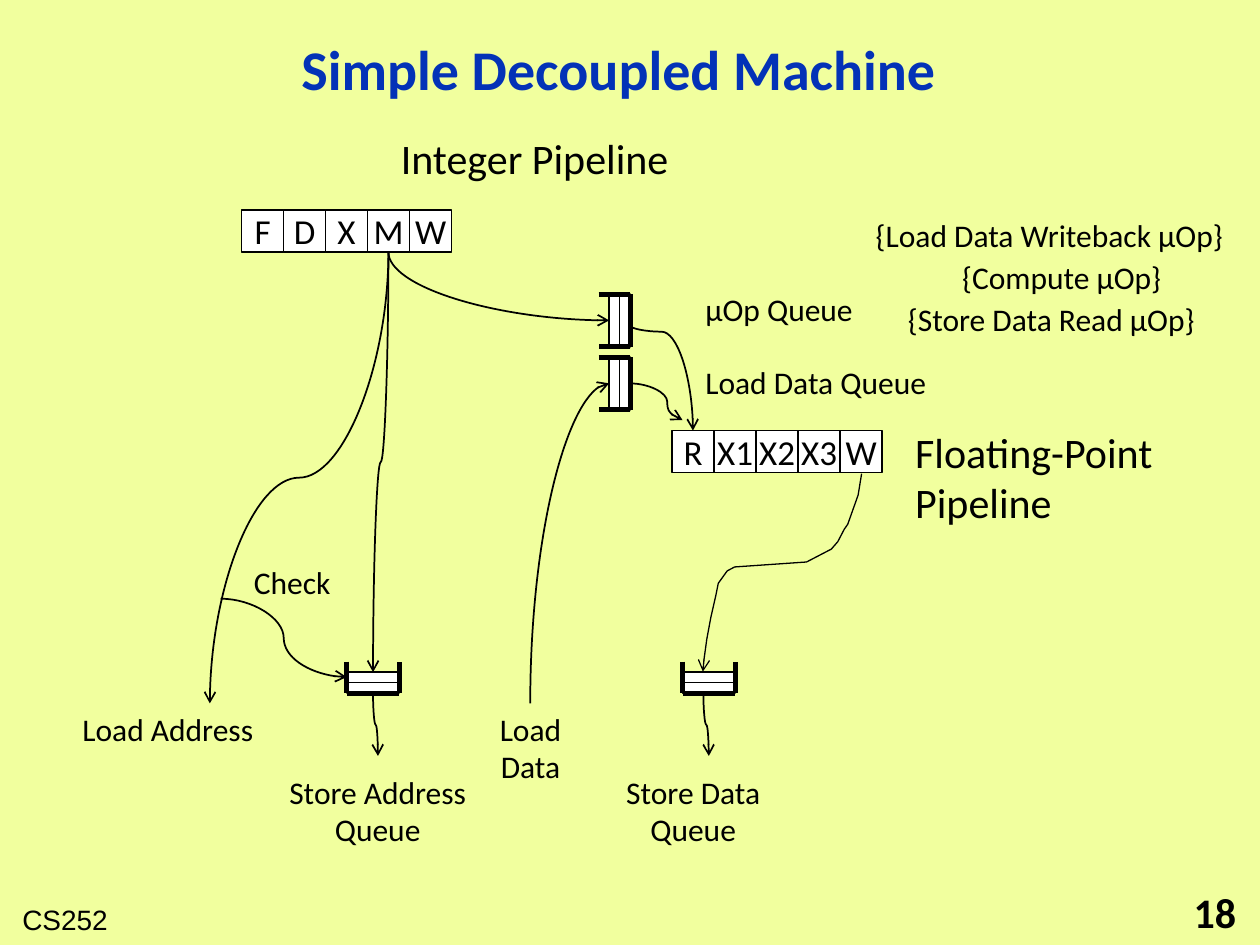
import pptx
import pptx.dml.color
import pptx.enum.shapes
import pptx.enum.text
import pptx.oxml.ns
import pptx.util
from lxml import etree

Cm = pptx.util.Cm
Pt = pptx.util.Pt
qn = pptx.oxml.ns.qn
RGBColor = pptx.dml.color.RGBColor
ALIGN = pptx.enum.text.PP_ALIGN
ANCHOR = pptx.enum.text.MSO_ANCHOR
AUTO_SIZE = pptx.enum.text.MSO_AUTO_SIZE
CONNECTOR = pptx.enum.shapes.MSO_CONNECTOR
RECTANGLE = pptx.enum.shapes.MSO_SHAPE.RECTANGLE

BACKGROUND = RGBColor(0xF1, 0xFF, 0x9E)
TITLE_BLUE = RGBColor(0x03, 0x32, 0xB7)
BLACK = RGBColor(0, 0, 0)
WHITE = RGBColor(0xFF, 0xFF, 0xFF)

STAGE = 2.54 / 3
QUEUE_LENGTH, QUEUE_DEPTH, SLOT = 1.06, 0.64, 0.21


class Diagram:
    def __init__(self, slide, font="Calibri"):
        self.slide = slide
        self.shapes = slide.shapes
        self.font = font
        fill = slide.background.fill
        fill.solid()
        fill.fore_color.rgb = BACKGROUND

    def set_text(self, shape, text, size, align=ALIGN.LEFT, color=BLACK, bold=False, font=None):
        shape.text_frame.text = text
        paragraph = shape.text_frame.paragraphs[0]
        paragraph.alignment = align
        for run in paragraph.runs:
            run.font.name = font or self.font
            run.font.size = Pt(size)
            run.font.bold = bold
            run.font.color.rgb = color
        return paragraph

    def title(self, text, left, top, width, height):
        shape = self.shapes.title
        shape.left, shape.top, shape.width, shape.height = map(Cm, (left, top, width, height))
        shape.text_frame.vertical_anchor = ANCHOR.MIDDLE
        shape.text_frame.auto_size = AUTO_SIZE.NONE
        self.set_text(shape, text, 32, ALIGN.CENTER, TITLE_BLUE, True).line_spacing = 0.9

    def label(self, text, left, top, width, height=1.02, size=18, wrap=True, **style):
        shape = self.shapes.add_textbox(Cm(left), Cm(top), Cm(width), Cm(height))
        shape.text_frame.word_wrap = wrap
        shape.text_frame.auto_size = AUTO_SIZE.SHAPE_TO_FIT_TEXT
        self.set_text(shape, text, size, **style)
        return shape

    def box(self, shapes, left, top, width, height):
        shape = shapes.add_shape(RECTANGLE, Cm(left), Cm(top), Cm(width), Cm(height))
        shape.shadow.inherit = False
        shape.fill.solid()
        shape.fill.fore_color.rgb = WHITE
        shape.line.color.rgb = BLACK
        shape.line.width = Pt(1)
        return shape

    def pipeline(self, stages, left, top):
        for index, stage in enumerate(stages):
            shape = self.box(self.shapes, left + index * STAGE, top, STAGE, STAGE)
            frame = shape.text_frame
            frame.margin_left = frame.margin_right = frame.margin_top = frame.margin_bottom = 0
            frame.vertical_anchor = ANCHOR.MIDDLE
            frame.word_wrap = True
            self.set_text(shape, stage, 20, ALIGN.CENTER)

    def style_connector(self, connector, width):
        connector.line.color.rgb = BLACK
        connector.line.width = Pt(width)
        etree.SubElement(connector._element.spPr, qn("a:effectLst"))

    def add_arrowhead(self, shape):
        line = shape._element.spPr.find(qn("a:ln"))
        etree.SubElement(line, qn("a:tailEnd"), type="arrow")

    def queue(self, left, top, opens_up=False):
        """Two slots inside three walls; the open side is left or, if opens_up, on top."""
        def turn(depth, length):
            return (length, depth) if opens_up else (depth, length)

        shapes = self.shapes.add_group_shape().shapes
        for number in (1, 2):
            x, y = turn(number * SLOT, 0)
            self.box(shapes, left + x, top + y, *turn(SLOT, QUEUE_LENGTH))
        corners = [(0, 0), (QUEUE_DEPTH, 0), (QUEUE_DEPTH, QUEUE_LENGTH), (0, QUEUE_LENGTH)]
        for start, end in zip(corners, corners[1:]):
            (x1, y1), (x2, y2) = turn(*start), turn(*end)
            wall = shapes.add_connector(CONNECTOR.STRAIGHT, Cm(left + x1), Cm(top + y1),
                                        Cm(left + x2), Cm(top + y2))
            self.style_connector(wall, 3)

    def curve(self, start, end, vertical=True, bend=0.5, quarter=False):
        """Curved arrow leaving start vertically or horizontally; quarter gives a single bend."""
        (x1, y1), (x2, y2) = start, end
        connector = self.shapes.add_connector(CONNECTOR.CURVE, Cm(x1), Cm(y1), Cm(x2), Cm(y2))
        properties = connector._element.spPr
        if vertical:
            width, height = abs(y2 - y1), abs(x2 - x1)
            connector.left = Cm((x1 + x2 - width) / 2)
            connector.top = Cm((y1 + y2 - height) / 2)
            connector.width, connector.height = Cm(width), Cm(height)
            right, down = x2 > x1, y2 > y1
            transform = properties.find(qn("a:xfrm"))
            transform.set("rot", str((270 if right and down else 90) * 60000))
            transform.set("flipH", str(int(right)))
            transform.set("flipV", str(int(not down)))
        geometry = properties.find(qn("a:prstGeom"))
        if quarter:
            geometry.set("prst", "curvedConnector2")
        else:
            etree.SubElement(geometry.find(qn("a:avLst")), qn("a:gd"), name="adj1",
                             fmla=f"val {round(bend * 100000)}")
        self.style_connector(connector, 1)
        self.add_arrowhead(connector)

    def freehand_arrow(self, points):
        builder = self.shapes.build_freeform(Cm(points[0][0]), Cm(points[0][1]))
        builder.add_line_segments([(Cm(x), Cm(y)) for x, y in points[1:]], close=False)
        shape = builder.convert_to_shape()
        shape.shadow.inherit = False
        shape.fill.background()
        shape.line.color.rgb = BLACK
        shape.line.width = Pt(0.75)
        self.add_arrowhead(shape)


def main():
    presentation = pptx.Presentation()
    presentation.slide_width, presentation.slide_height = Cm(25.4), Cm(19.05)
    diagram = Diagram(presentation.slides.add_slide(presentation.slide_layouts[5]))

    diagram.title("Simple Decoupled Machine", 2.34, 0.43, 20.27, 2.06)
    diagram.label("CS252", 0.2, 18.06, 2.26, 0.94, size=16, wrap=False, font="Arial")
    number = diagram.label("18", 19.89, 17.98, 5.28, 0.81, size=24, align=ALIGN.RIGHT, bold=True)
    number.text_frame.auto_size = AUTO_SIZE.NONE
    number.text_frame.vertical_anchor = ANCHOR.MIDDLE

    diagram.pipeline(["F", "D", "X", "M", "W"], 4.87, 4.23)
    diagram.pipeline(["R", "X1", "X2", "X3", "W"], 13.55, 8.68)
    diagram.queue(12.07, 5.93)
    diagram.queue(12.07, 7.2)
    diagram.queue(6.99, 13.34, opens_up=True)
    diagram.queue(13.76, 13.34, opens_up=True)

    diagram.label("Integer Pipeline", 7.83, 2.54, 6, 1.28, size=24, wrap=False)
    diagram.label("Floating-Point Pipeline", 18.2, 8.47, 5.93, 2.31, size=24)
    diagram.label("µOp Queue", 13.97, 5.72, 3.5, wrap=False)
    diagram.label("Load Data Queue", 13.97, 7.2, 5.03, wrap=False)
    diagram.label("Check", 4.87, 11.22, 2.09, wrap=False)
    for text, left, top, width, height in [
        ("Load Address", 1.27, 14.18, 4.23, 1.02),
        ("Load Data", 9.53, 14.18, 2.33, 1.8),
        ("Store Address Queue", 5.5, 15.45, 4.23, 1.8),
        ("Store Data Queue", 12.28, 15.45, 3.39, 1.8),
        ("{Load Data Writeback µOp}", 16.92, 4.23, 8.47, 1.02),
        ("{Compute µOp}", 17.81, 5.08, 7.19, 1.02),
        ("{Store Data Read µOp}", 17.6, 5.93, 7.19, 1.02),
    ]:
        diagram.label(text, left, top, width, height, align=ALIGN.CENTER)

    memory_stage = (7.83, 5.08)
    diagram.curve(memory_stage, (7.52, 13.55))
    diagram.curve(memory_stage, (4.23, 14.18))
    diagram.curve(memory_stage, (12.28, 6.46), quarter=True)
    diagram.curve((10.69, 14.18), (12.28, 7.73), quarter=True)
    diagram.curve((4.45, 12.07), (6.99, 13.65), vertical=False)
    diagram.curve((12.7, 6.56), (13.97, 8.68), bend=0.06)
    diagram.curve((12.7, 7.73), (13.76, 8.47), vertical=False, bend=0.71)
    diagram.curve((7.52, 13.97), (7.62, 15.24))
    diagram.curve((14.18, 13.97), (14.29, 15.24))
    diagram.freehand_arrow([
        (17.37, 9.55), (17.3, 9.98), (17.09, 10.57), (17.02, 10.67), (16.89, 10.92),
        (16.76, 11.07), (16.26, 11.33), (14.81, 11.43), (14.66, 11.51), (14.48, 11.76),
        (14.43, 12.01), (14.33, 12.45), (14.25, 12.88), (14.17, 13.46), (14.17, 13.54),
    ])
    presentation.save("out.pptx")


if __name__ == "__main__":
    main()
